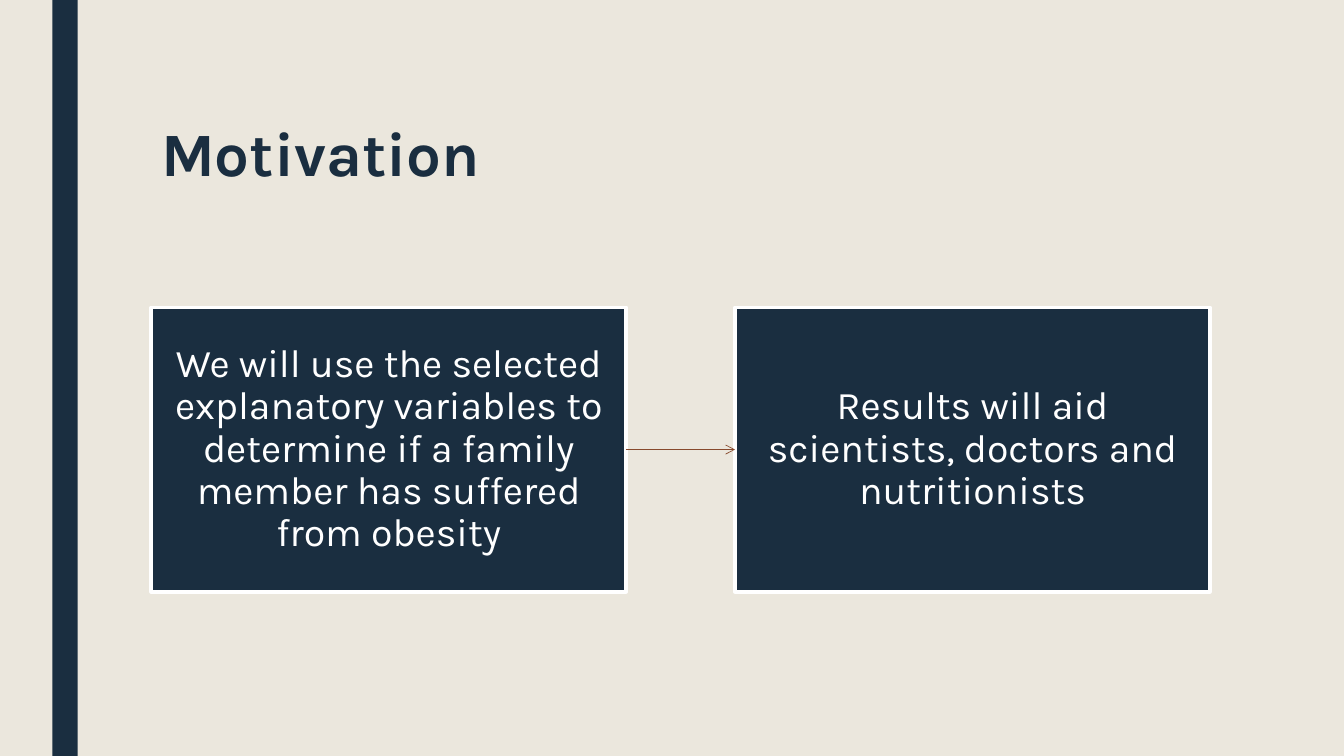
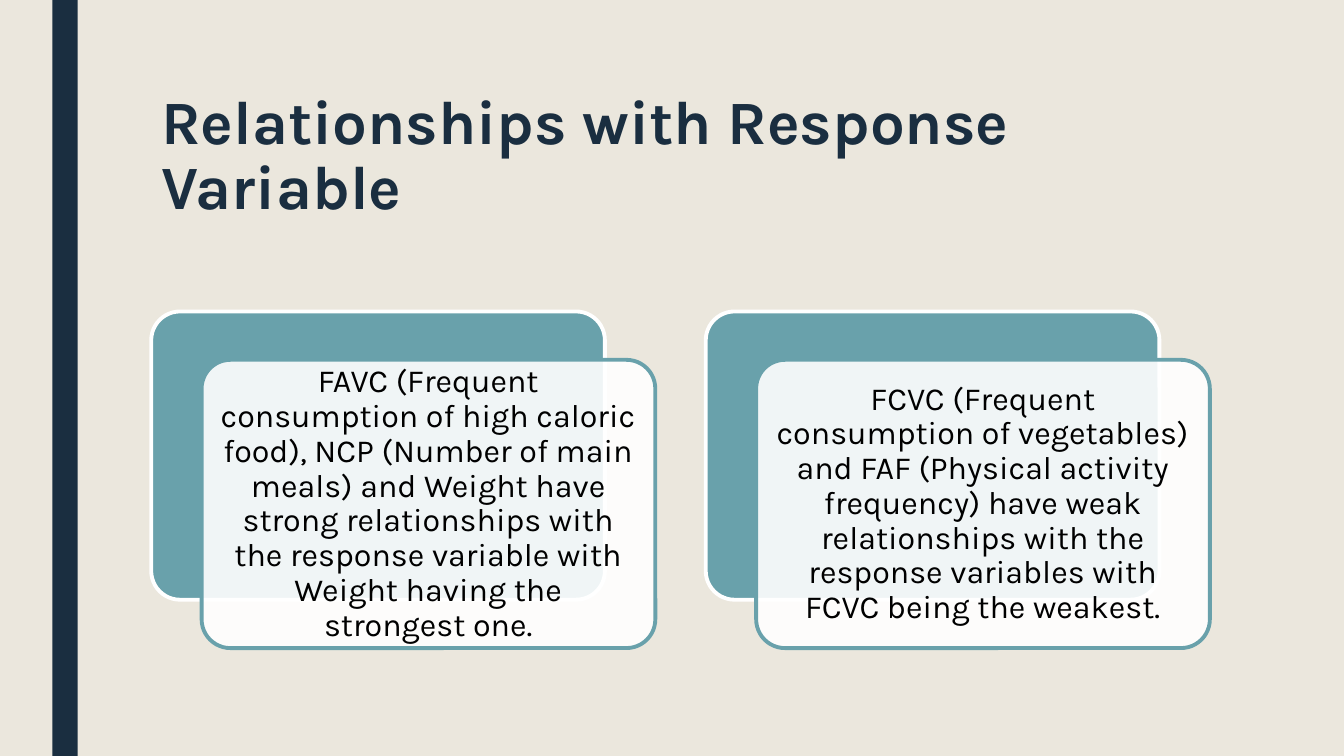
from dataclasses import dataclass

from lxml import etree
from pptx import Presentation
from pptx import util as u
from pptx.dml.color import RGBColor
from pptx.enum import shapes, text
from pptx.oxml.ns import qn

FONT = "Karla"
NAVY, SAND, TEAL = "1A2E40", "EBE7DD", "69A1AB"
RUST, WHITE, BLACK = "87492C", "FFFFFF", "000000"
LEFT, CONTENT_WIDTH = 1.5, 10.5
RIGHT = LEFT + CONTENT_WIDTH


@dataclass(frozen=True)
class Box:
    left: float
    top: float
    width: float
    height: float

    def lengths(self):
        return [u.Inches(v) for v in (self.left, self.top, self.width, self.height)]

    def shifted(self, right: float, down: float) -> "Box":
        return Box(self.left + right, self.top + down, self.width, self.height)


def colour(value: str) -> RGBColor:
    return RGBColor.from_string(value)


def write(shape, content: str, *, size: float, color: str, bold: bool = False,
          align=text.PP_ALIGN.CENTER, line_spacing: float = 0.9,
          inset_x: float = 0.1, inset_y: float = 0.1) -> None:
    frame = shape.text_frame
    frame.word_wrap = True
    frame.vertical_anchor = text.MSO_ANCHOR.MIDDLE
    frame.margin_left = frame.margin_right = u.Inches(inset_x)
    frame.margin_top = frame.margin_bottom = u.Inches(inset_y)
    paragraph = frame.paragraphs[0]
    paragraph.alignment = align
    paragraph.line_spacing = line_spacing
    run = paragraph.add_run()
    run.text = content
    run.font.name = FONT
    run.font.size = u.Pt(size)
    run.font.bold = bold
    run.font.color.rgb = colour(color)


def add_panel(slide, box: Box, fill: str, line: str | None = None,
              rounded: bool = False, opacity: int = 100):
    kind = shapes.MSO_SHAPE.ROUNDED_RECTANGLE if rounded else shapes.MSO_SHAPE.RECTANGLE
    shape = slide.shapes.add_shape(kind, *box.lengths())
    shape.shadow.inherit = False
    if rounded:
        shape.adjustments[0] = 0.1
    shape.fill.solid()
    shape.fill.fore_color.rgb = colour(fill)
    if opacity < 100:
        tint = shape._element.spPr.find(qn("a:solidFill")).find(qn("a:srgbClr"))
        etree.SubElement(tint, qn("a:alpha"), val=str(opacity * 1000))
    if line:
        shape.line.color.rgb = colour(line)
        shape.line.width = u.Pt(2.75)
    else:
        shape.line.fill.background()
    return shape


def add_arrow(slide, source, target) -> None:
    """Join the right side of source to the left side of target."""
    arrow = slide.shapes.add_connector(shapes.MSO_CONNECTOR.STRAIGHT, 0, 0, 0, 0)
    arrow.begin_connect(source, 3)
    arrow.end_connect(target, 1)
    arrow.line.color.rgb = colour(RUST)
    arrow.line.width = u.Pt(0.5)
    etree.SubElement(arrow.line._get_or_add_ln(), qn("a:tailEnd"), type="arrow")
    etree.SubElement(arrow._element.spPr, qn("a:effectLst"))


def add_titled_slide(presentation, title: str):
    slide = presentation.slides.add_slide(presentation.slide_layouts[6])
    slide.background.fill.solid()
    slide.background.fill.fore_color.rgb = colour(SAND)
    add_panel(slide, Box(0.52, 0, 0.25, 7.5), NAVY)
    title_box = slide.shapes.add_textbox(*Box(LEFT, 0.75, CONTENT_WIDTH, 1.62).lengths())
    write(title_box, title, size=44, color=NAVY, bold=True,
          align=text.PP_ALIGN.LEFT, line_spacing=0.89, inset_y=0.05)
    return slide


def add_motivation(presentation) -> None:
    slide = add_titled_slide(presentation, "Motivation")
    width = 4.71
    steps = (
        (LEFT, "We will use the selected explanatory variables to determine "
               "if a family member has suffered from obesity"),
        (RIGHT - width, "Results will aid scientists, doctors and nutritionists"),
    )
    panels = []
    for left, content in steps:
        panel = add_panel(slide, Box(left, 3.05, width, 2.82), NAVY, WHITE)
        write(panel, content, size=28, color=WHITE, inset_x=0.23, inset_y=0.24)
        panels.append(panel)
    add_arrow(slide, *panels)


def add_relationships(presentation) -> None:
    slide = add_titled_slide(presentation, "Relationships with Response Variable")
    findings = (
        "FAVC (Frequent consumption of high caloric food), NCP (Number of main meals) "
        "and Weight have strong relationships with the response variable with Weight "
        "having the strongest one.",
        "FCVC (Frequent consumption of vegetables) and FAF (Physical activity frequency) "
        "have weak relationships with the response variables with FCVC being the weakest.",
    )
    for column, content in enumerate(findings):
        back = Box(LEFT + 5.5 * column, 3.09, 4.5, 2.86)
        add_panel(slide, back, TEAL, WHITE, rounded=True)
        card = add_panel(slide, back.shifted(0.5, 0.48), WHITE, TEAL,
                         rounded=True, opacity=90)
        write(card, content, size=23, color=BLACK)


def main() -> None:
    presentation = Presentation()
    presentation.slide_width = u.Inches(13.33)
    presentation.slide_height = u.Inches(7.5)
    add_motivation(presentation)
    add_relationships(presentation)
    presentation.save("out.pptx")


if __name__ == "__main__":
    main()
